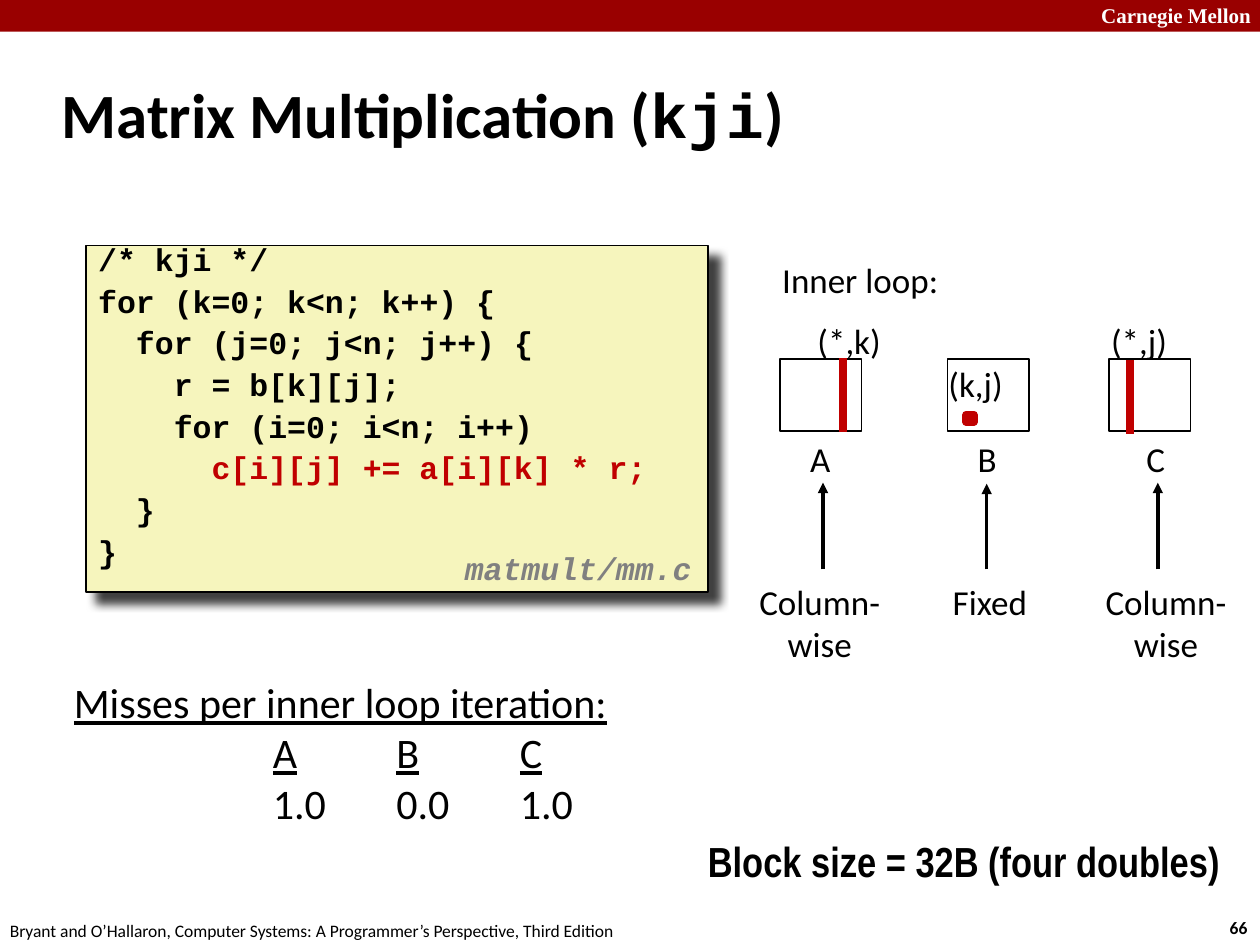
"""Build the slide on the cache misses of kji matrix multiplication."""
import pptx
import pptx.dml.color
import pptx.enum.shapes
import pptx.enum.text
import pptx.oxml.ns
import pptx.util
from lxml import etree

Cm, Pt = pptx.util.Cm, pptx.util.Pt
qn = pptx.oxml.ns.qn
Align = pptx.enum.text.PP_ALIGN
Anchor = pptx.enum.text.MSO_ANCHOR
RED, BLACK, WHITE = "C00000", "000000", "FFFFFF"


def hue(code):
    """Turn a hex string into a colour."""
    return pptx.dml.color.RGBColor.from_string(code)


def write(box, text, size=20, font="Calibri", color=BLACK, bold=False, slant=False,
          align=Align.LEFT, anchor=Anchor.TOP, wrap=False, lead=None, gap=0, tabs=()):
    """Fill a box; a line is a string or a list of (string, changes) pairs."""
    frame = box.text_frame
    frame.word_wrap = wrap
    frame.vertical_anchor = anchor
    for n, line in enumerate(text if isinstance(text, list) else [text]):
        para = frame.add_paragraph() if n else frame.paragraphs[0]
        if tabs:
            stops = etree.SubElement(para._p.get_or_add_pPr(), qn("a:tabLst"))
            for tab in tabs:
                etree.SubElement(stops, qn("a:tab"), pos=str(Cm(tab)), algn="l")
        para.alignment = align
        if lead:
            para.line_spacing = lead
        if n and gap:
            para.space_before = Pt(gap)
        for part, change in [(line, {})] if isinstance(line, str) else line:
            run = para.add_run()
            run.text = part
            run.font.size = Pt(size)
            run.font.name = change.get("font", font)
            run.font.color.rgb = hue(change.get("color", color))
            run.font.bold = bold
            run.font.italic = slant
            run.font.underline = change.get("under", False)


deck = pptx.Presentation()
deck.slide_width, deck.slide_height = Cm(25.4), Cm(19.05)
slide = deck.slides.add_slide(deck.slide_layouts[6])
shapes = slide.shapes

rects = {}
for name, spot, fill, edge, width in [
    ("bar", (0, 0, 25.4, 0.64), "990000", None, 0),
    ("code", (1.73, 4.95, 12.55, 6.99), "F6F5BD", BLACK, 1),
    ("A", (15.72, 7.24, 1.65, 1.45), WHITE, BLACK, 1),
    ("B", (19.1, 7.24, 1.65, 1.45), WHITE, BLACK, 1),
    ("C", (22.35, 7.24, 1.65, 1.45), WHITE, BLACK, 1),
    ("cell", (19.48, 8.36, 0.15, 0.15), BLACK, RED, 4.5),
]:
    rect = shapes.add_shape(pptx.enum.shapes.MSO_SHAPE.RECTANGLE, *map(Cm, spot))
    rect.fill.solid()
    rect.fill.fore_color.rgb = hue(fill)
    if edge:
        rect.line.color.rgb = hue(edge)
        rect.line.width = Pt(width)
    else:
        rect.line.fill.background()
    rect.shadow.inherit = False
    rects[name] = rect

glow = etree.SubElement(
    rects["code"]._element.spPr.find(qn("a:effectLst")), qn("a:outerShdw"),
    blurRad=str(Pt(5)), dist=str(Pt(8.5)), dir="2700000", algn="tl", rotWithShape="0")
tint = etree.SubElement(glow, qn("a:srgbClr"), val=BLACK)
etree.SubElement(tint, qn("a:alpha"), val="75000")

code = [
    "/* kji */",
    "for (k=0; k<n; k++) {",
    "  for (j=0; j<n; j++) {",
    "    r = b[k][j];",
    "    for (i=0; i<n; i++)",
    [("      ", {}), ("c[i][j] += a[i][k] * r;", {"color": RED})],
    "  }",
    "}",
]
write(rects["code"], code, size=18, font="Courier New", bold=True, wrap=True,
      lead=0.65, gap=9.8)

for x, low, high, color, width in [
    (16.99, 8.71, 7.21, RED, 4.5),
    (22.78, 8.74, 7.26, RED, 4.5),
    (16.59, 11.48, 9.73, BLACK, 2),
    (19.89, 11.48, 9.75, BLACK, 2),
    (23.34, 11.48, 9.73, BLACK, 2),
]:
    line = shapes.add_connector(pptx.enum.shapes.MSO_CONNECTOR.STRAIGHT,
                                Cm(x), Cm(low), Cm(x), Cm(high))
    line.line.color.rgb = hue(color)
    line.line.width = Pt(width)
    if color == BLACK:
        etree.SubElement(line.line._get_or_add_ln(), qn("a:tailEnd"), type="triangle")
    etree.SubElement(line._element.spPr, qn("a:effectLst"))

title = [[("Matrix Multiplication (", {}), ("kji", {"font": "Courier New"}), (")", {})]]
under = {"under": True}
misses = [
    [("Misses per inner loop iteration:", under)],
    [("\t", {}), ("A", under), ("\t", {}), ("B", under), ("\t", {}), ("C", under)],
    "\t1.0\t0.0\t1.0",
]
mid = {"align": Align.CENTER}
for spot, text, form in [
    ((21.95, -0.08, 3.63, 0.76), "Carnegie Mellon",
     {"size": 12, "font": "Times New Roman", "color": WHITE, "bold": True, "wrap": True}),
    ((24.54, 18.36, 0.94, 0.69), "66", {"size": 10, "bold": True}),
    ((-0.05, 18.42, 12.9, 0.69),
     "Bryant and O’Hallaron, Computer Systems: A Programmer’s Perspective, Third Edition",
     {"size": 10}),
    ((0.99, 1.22, 21.08, 2.11), title,
     {"size": 36, "bold": True, "anchor": Anchor.MIDDLE, "wrap": True}),
    ((15.52, 5.08, 3.68, 1.09), "Inner loop:", {}),
    ((16.23, 6.32, 1.8, 1.09), "(*,k)", {}),
    ((18.87, 7.19, 1.6, 1.09), "(k,j)", {}),
    ((22.15, 6.32, 1.65, 1.09), "(*,j)", {}),
    ((16.08, 8.69, 0.94, 1.09), "A", {}),
    ((19.46, 8.69, 0.89, 1.09), "B", {}),
    ((22.86, 8.69, 0.89, 1.09), "C", {}),
    ((15.04, 11.58, 2.97, 1.96), ["Column-", "wise"], mid),
    ((18.95, 11.58, 2.01, 1.09), "Fixed", mid),
    ((22.02, 11.58, 2.97, 1.96), ["Column-", "wise"], mid),
    ((1.24, 13.51, 13.79, 3.4), misses,
     {"size": 24, "wrap": True, "tabs": (4.01, 6.5, 8.99)}),
    ((9.12, 11, 5.28, 0.99), "matmult/mm.c",
     {"size": 18, "font": "Courier New", "color": "808080", "bold": True,
      "slant": True, "lead": 0.94}),
    ((14.02, 16.71, 11.18, 1.27), "Block size = 32B (four doubles)",
     {"size": 24, "font": "Arial Narrow", "bold": True, "wrap": True}),
]:
    write(shapes.add_textbox(*map(Cm, spot)), text, **form)

deck.save("out.pptx")
